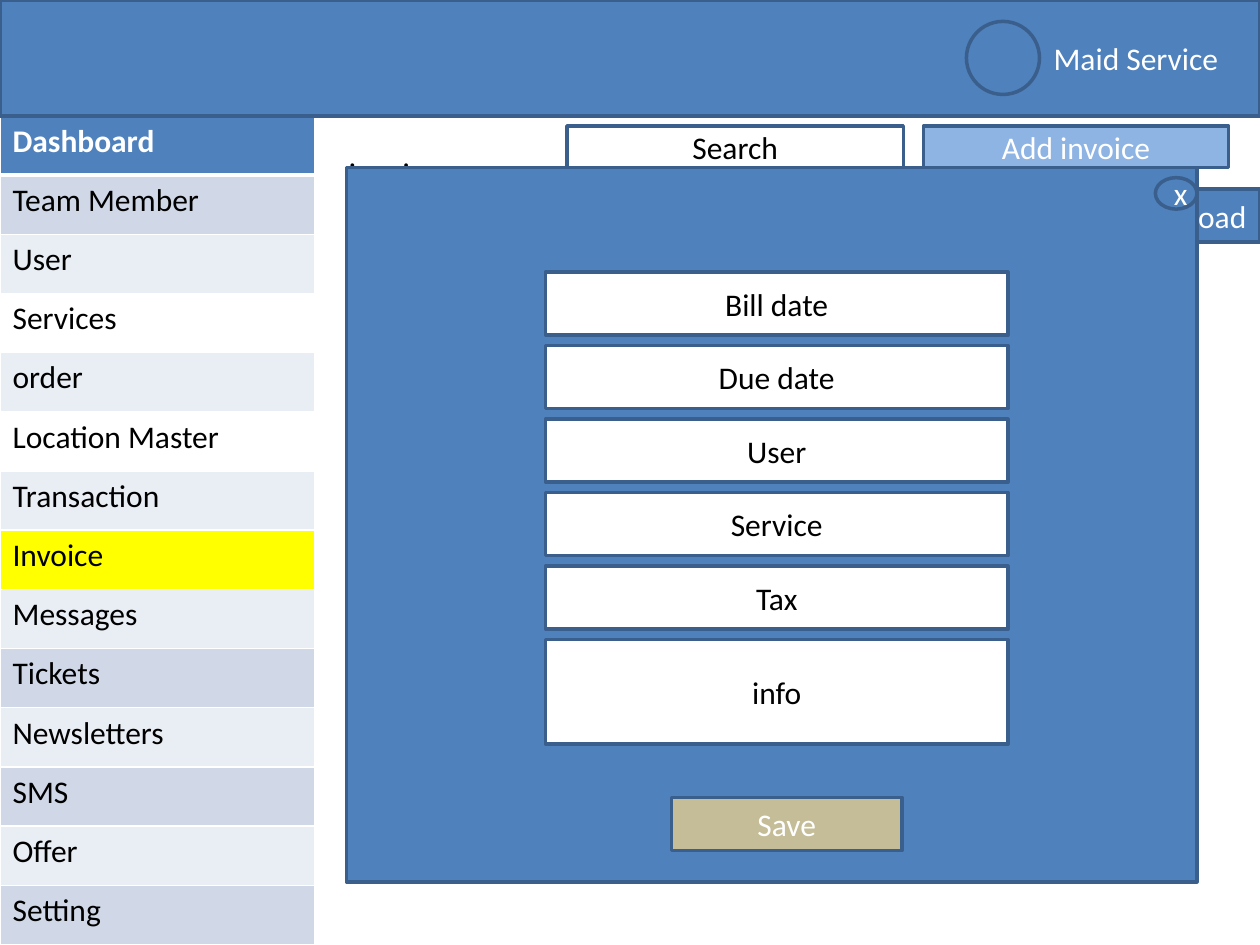
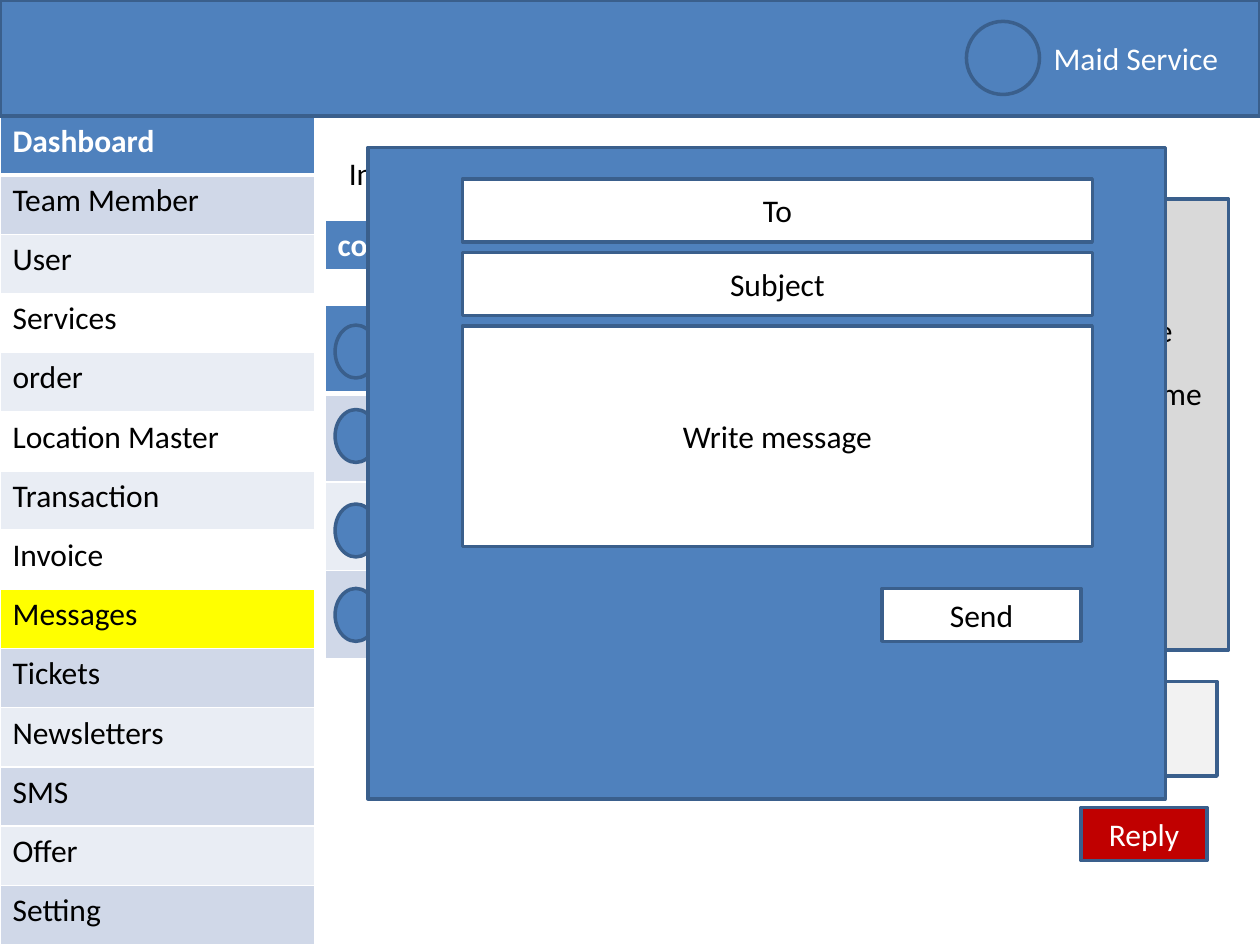
from dataclasses import dataclass

from lxml import etree
from pptx import Presentation
from pptx import util as u
from pptx.dml import color
from pptx.enum import shapes, text
from pptx.oxml import ns

FONT, SIZE = "Calibri", 18
WHITE, BLACK = "FFFFFF", "000000"
BLUE, EDGE = "4F81BD", "3A5F8C"
BAND_DARK, BAND_LIGHT = "D0D8E8", "E9EDF4"
HIGHLIGHT = "FFFF00"
GAP = 1 / 12
MENU = {
    "Dashboard": BLUE,
    "Team Member": BAND_DARK,
    "User": BAND_LIGHT,
    "Services": None,
    "order": BAND_LIGHT,
    "Location Master": None,
    "Transaction": BAND_LIGHT,
    "Invoice": None,
    "Messages": BAND_LIGHT,
    "Tickets": BAND_DARK,
    "Newsletters": BAND_LIGHT,
    "SMS": BAND_DARK,
    "Offer": BAND_LIGHT,
    "Setting": BAND_DARK,
}


@dataclass
class Box:
    left: float
    top: float
    width: float
    height: float

    def inner(self, left, top, width, height):
        """A box whose corner is measured from this one's corner."""
        return Box(self.left + left, self.top + top, width, height)

    def lengths(self):
        return [u.Inches(n) for n in (self.left, self.top, self.width, self.height)]


def rgb(value):
    return color.RGBColor.from_string(value)


def paint(target, fill):
    if fill is None:
        target.fill.background()
    else:
        target.fill.solid()
        target.fill.fore_color.rgb = rgb(fill)


def write(frame, words, ink, bold=False, align=None):
    frame.text = words
    para = frame.paragraphs[0]
    para.alignment = align
    for span in para.runs:
        span.font.name = FONT
        span.font.size = u.Pt(SIZE)
        span.font.bold = bold
        span.font.color.rgb = rgb(ink)


def add_block(page, box, words="", fill=BLUE, ink=WHITE, kind="RECTANGLE",
              align=text.PP_ALIGN.CENTER):
    shape = page.shapes.add_shape(shapes.MSO_SHAPE[kind], *box.lengths())
    shape.shadow.inherit = False
    paint(shape, fill)
    shape.line.color.rgb = rgb(EDGE)
    shape.line.width = u.Pt(2)
    frame = shape.text_frame
    frame.vertical_anchor = text.MSO_ANCHOR.MIDDLE
    if words:
        write(frame, words, ink, align=align)
    return shape


def add_label(page, box, words, centred=True):
    frame = page.shapes.add_textbox(*box.lengths()).text_frame
    frame.word_wrap = centred
    if centred:
        frame.vertical_anchor = text.MSO_ANCHOR.MIDDLE
    write(frame, words, BLACK, align=text.PP_ALIGN.CENTER if centred else None)


def add_borders(cell, bottom):
    properties = cell._tc.get_or_add_tcPr()
    for place, (side, points) in enumerate(zip("LRTB", (1, 1, 1, bottom))):
        line = etree.Element(ns.qn(f"a:ln{side}"), w=str(u.Pt(points)))
        fill = etree.SubElement(line, ns.qn("a:solidFill"))
        etree.SubElement(fill, ns.qn("a:srgbClr"), val=WHITE)
        properties.insert(place, line)


def add_grid(page, box, rows, fills):
    """Table of equal rows, the first of which is a header."""
    columns = len(rows[0])
    table = page.shapes.add_table(len(rows), columns, *box.lengths()).table
    table.first_row = table.horz_banding = False
    for column in table.columns:
        column.width = u.Inches(box.width / columns)
    for index, (row, words, fill) in enumerate(zip(table.rows, rows, fills)):
        row.height = u.Inches(box.height / len(rows))
        header = index == 0
        for cell, word in zip(row.cells, words):
            paint(cell, fill)
            if word:
                write(cell.text_frame, word, WHITE if header else BLACK, bold=header)
            add_borders(cell, bottom=3 if header else 1)


def add_menu(page, box, active):
    fills = {**MENU, active: HIGHLIGHT}
    add_grid(page, box, [[name] for name in MENU], fills.values())


def add_banner(page, box):
    banner = add_block(page, box, "Maid Service", align=text.PP_ALIGN.RIGHT)
    banner.text_frame.margin_right = u.Inches(0.33)
    add_block(page, box.inner(7.67, 0.17, 0.58, 0.58), kind="OVAL")


def add_page(deck, active, heading):
    page = deck.slides.add_slide(deck.slide_layouts[6])
    add_menu(page, Box(0, 0.92, 2.5, 6.58), active)
    add_banner(page, Box(0, 0, 10, 0.92))
    add_label(page, Box(2.67, 1.17, 1.02, 0.4), heading, centred=False)
    return page


def add_fields(page, box, fields):
    """Stack (name, height) entry fields downwards from the top of the box."""
    top = 0
    for name, height in fields:
        add_block(page, box.inner(0, top, box.width, height), name, WHITE, BLACK)
        top += height + GAP


def add_invoice_tools(page, box):
    add_block(page, box.inner(4.25, 0.5, 1.25, 0.42), "Download")
    add_block(page, box.inner(2.83, 0, 2.42, 0.33), "Add invoice", "8EB4E3")
    add_block(page, box.inner(0, 0, 2.67, 0.33), "Search", None, BLACK)


def add_invoice_dialog(page, box):
    add_block(page, box)
    names = ["Bill date", "Due date", "User", "Service", "Tax"]
    fields = [(name, 0.5) for name in names] + [("info", 0.83)]
    add_fields(page, box.inner(1.58, 0.83, 3.67, 3.75), fields)
    add_block(page, box.inner(2.58, 5, 1.83, 0.42), "Save", "C4BD97")
    add_block(page, box.inner(box.width - 0.33, 0.08, 0.33, 0.25), "x", kind="OVAL")


def add_inbox(page, box):
    add_grid(page, box.inner(0, 0, 3.42, 0.38), [["compose", "inbox", "sent"]], [BLUE])
    add_grid(page, box.inner(0, 0.67, 3.83, 2.81), [[""]] * 4,
             [BLUE, BAND_DARK, BAND_LIGHT, BAND_DARK])
    for top in (0.83, 1.5, 2.25, 2.92):
        add_block(page, box.inner(0.08, top, 0.33, 0.42), kind="OVAL")


def add_reader(page, box):
    add_block(page, box.inner(0, 0, 2.92, 3.58), fill="D9D9D9")
    add_block(page, box.inner(0.08, 3.83, 2.75, 0.75), fill="F2F2F2")
    add_block(page, box.inner(1.75, 4.83, 1, 0.42), "Reply", "C00000")
    add_label(page, box.inner(0.75, 0.08, 1.83, 0.42), "Name")
    add_label(page, box.inner(0.58, 0.75, 2.17, 0.58), "Details message")
    add_label(page, box.inner(1.5, 1.33, 1.42, 0.42), "Date,time")


def add_compose_dialog(page, box):
    add_block(page, box)
    add_fields(page, box.inner(0.75, 0.25, 5, 2.92),
               [("To", 0.5), ("Subject", 0.5), ("Write message", 1.75)])
    add_block(page, box.inner(4.08, 3.5, 1.58, 0.42), "Send", WHITE, BLACK)


def main():
    deck = Presentation()
    deck.slide_width, deck.slide_height = u.Inches(10), u.Inches(7.5)

    invoices = add_page(deck, "Invoice", "invoices")
    add_invoice_tools(invoices, Box(4.5, 1, 5.5, 0.92))
    add_invoice_dialog(invoices, Box(2.75, 1.33, 6.75, 5.67))

    messages = add_page(deck, "Messages", "Inbox")
    add_inbox(messages, Box(2.58, 1.75, 3.83, 3.48))
    add_reader(messages, Box(6.83, 1.58, 2.92, 5.25))
    add_compose_dialog(messages, Box(2.92, 1.17, 6.33, 5.17))

    deck.save("out.pptx")


if __name__ == "__main__":
    main()
